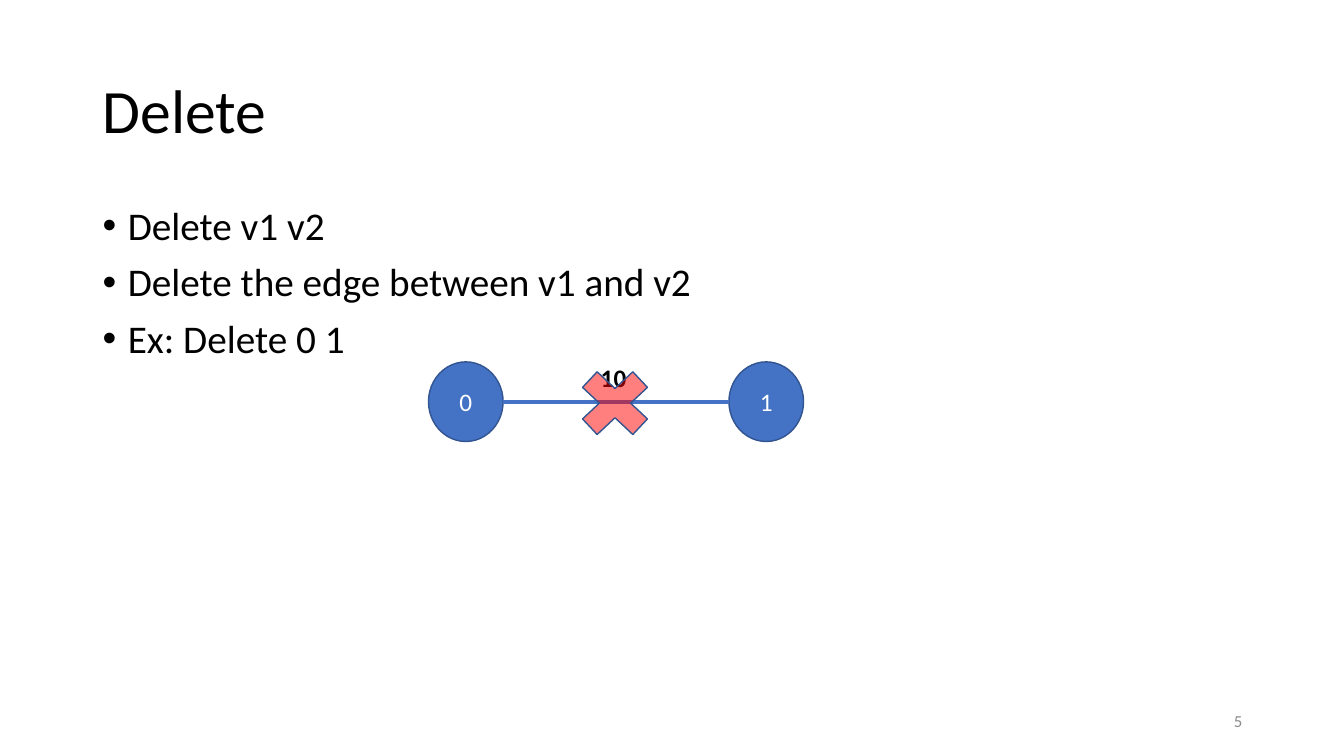
from dataclasses import dataclass
from lxml import etree
from pptx import Presentation
from pptx.dml.color import RGBColor
from pptx.enum import shapes, text
from pptx.oxml.ns import qn
from pptx.util import Inches, Pt

TITLE = "Delete"
BULLETS = ["Delete v1 v2", "Delete the edge between v1 and v2", "Ex: Delete 0 1"]
NODES = ["0", "1"]
EDGE_WEIGHT = "10"
PAGE_NUMBER = "5"


@dataclass(frozen=True)
class Theme:
    font: str = "Calibri"
    ink: str = "000000"
    white: str = "FFFFFF"
    muted: str = "8C8C8C"
    blue: str = "4472C4"
    outline: str = "325491"
    cross: str = "FF0000"
    title_size: int = 44
    body_size: int = 28
    label_size: int = 18
    number_size: int = 12


THEME = Theme()
MARGIN, CONTENT_WIDTH = 0.92, 11.5
NODE_LEFT, NODE_TOP, NODE_STEP = 4.25, 3.59, 2.98
NODE_WIDTH, NODE_HEIGHT = 0.74, 0.79


def color(value):
    return RGBColor.from_string(value)


def inches(*values):
    return [Inches(value) for value in values]


def write(box, lines, size, ink=THEME.ink, align=text.PP_ALIGN.LEFT,
          anchor=text.MSO_ANCHOR.MIDDLE, bold=False, wrap=True):
    frame = box.text_frame
    frame.text = "\n".join(lines)
    frame.word_wrap = wrap
    frame.auto_size = text.MSO_AUTO_SIZE.NONE
    frame.vertical_anchor = anchor
    for para in frame.paragraphs:
        para.alignment = align
        para.font.name = THEME.font
        para.font.size = Pt(size)
        para.font.bold = bold
        para.font.color.rgb = color(ink)
    return frame.paragraphs


def add_text(page, place, lines, size, **style):
    return write(page.shapes.add_textbox(*inches(*place)), lines, size, **style)


def add_figure(page, kind, place, fill):
    figure = page.shapes.add_shape(kind, *inches(*place))
    figure.shadow.inherit = False
    figure.fill.solid()
    figure.fill.fore_color.rgb = color(fill)
    figure.line.color.rgb = color(THEME.outline)
    figure.line.width = Pt(1)
    return figure


def add_title(page):
    title = page.shapes.title
    title.left, title.top, title.width, title.height = inches(MARGIN, 0.4, CONTENT_WIDTH, 1.45)
    write(title, [TITLE], THEME.title_size)[0].line_spacing = 0.9


def add_bullets(page):
    paragraphs = add_text(page, (MARGIN, 2, CONTENT_WIDTH, 4.76), BULLETS,
                          THEME.body_size, anchor=text.MSO_ANCHOR.TOP)
    for para in paragraphs:
        para.line_spacing = 0.9
        para.space_before = Pt(10)
        properties = para._p.get_or_add_pPr()
        properties.set("marL", str(Inches(0.25)))
        properties.set("indent", str(Inches(-0.25)))
        bullet_font = etree.Element(qn("a:buFont"), typeface="Arial")
        bullet = etree.Element(qn("a:buChar"), char="•")
        spacing = properties.find(qn("a:spcBef"))
        spacing.addnext(bullet_font)
        bullet_font.addnext(bullet)


def add_graph(page):
    for index, name in enumerate(NODES):
        place = (NODE_LEFT + index * NODE_STEP, NODE_TOP, NODE_WIDTH, NODE_HEIGHT)
        node = add_figure(page, shapes.MSO_SHAPE.OVAL, place, THEME.blue)
        write(node, [name], THEME.label_size, ink=THEME.white, align=text.PP_ALIGN.CENTER)
    middle = NODE_TOP + NODE_HEIGHT / 2
    edge = page.shapes.add_connector(
        shapes.MSO_CONNECTOR.STRAIGHT,
        *inches(NODE_LEFT + NODE_WIDTH, middle, NODE_LEFT + NODE_STEP, middle))
    edge.line.color.rgb = color(THEME.blue)
    edge.line.width = Pt(3)
    etree.SubElement(edge._element.spPr, qn("a:effectLst"))
    add_text(page, (5.86, 3.55, 0.52, 0.4), [EDGE_WEIGHT], THEME.label_size,
             anchor=text.MSO_ANCHOR.TOP, bold=True, wrap=False)
    cross = add_figure(page, shapes.MSO_SHAPE.MATH_MULTIPLY, (5.62, 3.55, 0.96, 0.9), THEME.cross)
    tint = cross._element.spPr.find(qn("a:solidFill"))[0]
    etree.SubElement(tint, qn("a:alpha"), val="50000")


def main():
    deck = Presentation()
    deck.slide_width, deck.slide_height = inches(13.33, 7.5)
    page = deck.slides.add_slide(deck.slide_layouts[5])
    add_title(page)
    add_bullets(page)
    add_graph(page)
    add_text(page, (9.42, 6.95, 3, 0.4), [PAGE_NUMBER], THEME.number_size,
             ink=THEME.muted, align=text.PP_ALIGN.RIGHT)
    deck.save("out.pptx")


if __name__ == "__main__":
    main()
